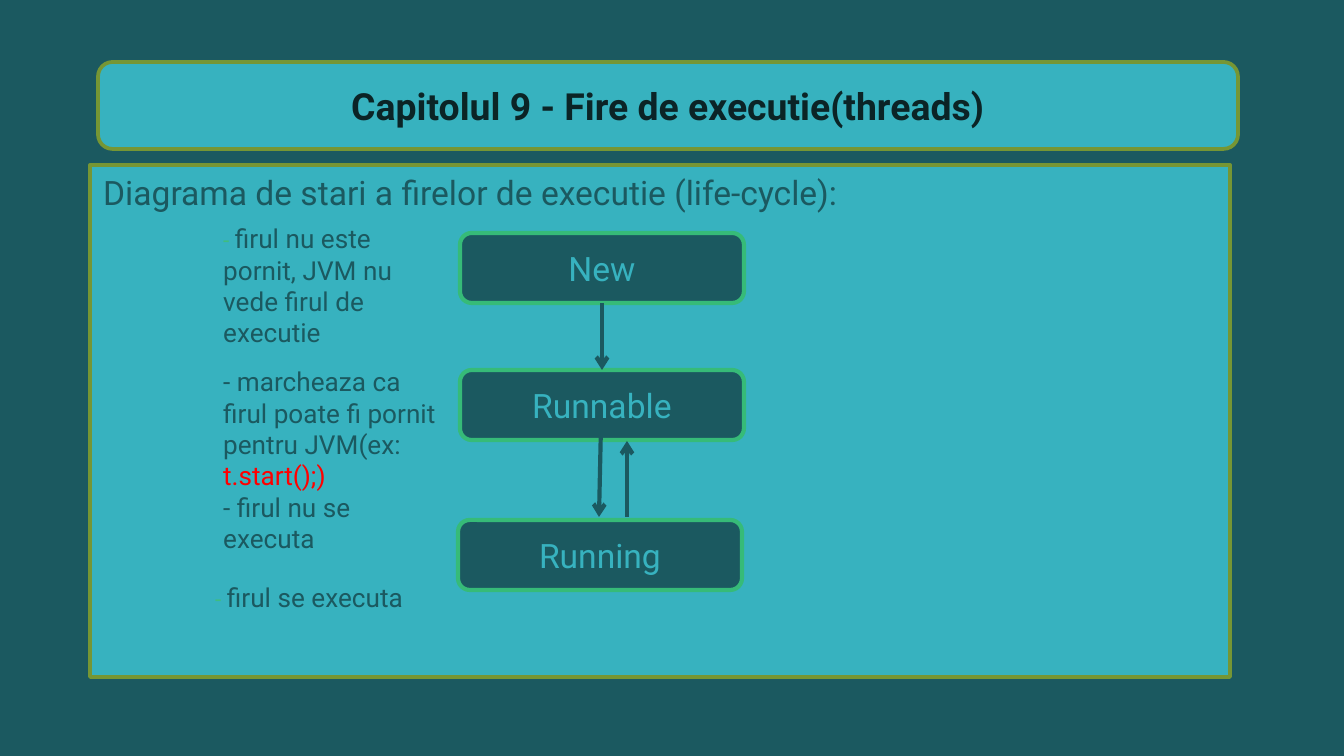
from lxml.etree import SubElement
from pptx import Presentation
from pptx.dml.color import RGBColor
from pptx.enum.shapes import MSO_CONNECTOR, MSO_SHAPE
from pptx.enum.text import MSO_ANCHOR, MSO_AUTO_SIZE, PP_ALIGN
from pptx.oxml.ns import qn
from pptx.util import Emu, Pt

PX = 914400 / 134.4
DARK, TEAL, OLIVE, GREEN = "1B5960", "37B2BF", "769634", "36BB78"
INK, DASH, RED = "0B2426", "40BD7E", "FF0000"

TITLE = "Capitolul 9 - Fire de executie(threads)"
HEADING = "Diagrama de stari a firelor de executie (life-cycle):"
STATES = [("New", 460, 233), ("Runnable", 460, 370), ("Running", 458, 520)]
STATE_SIZE = (284, 70)
NOTES = [
    ((210, 216, 247, 141), [
        [("- ", 12, DASH), ("firul nu este pornit, JVM nu vede firul de executie", 14, DARK)],
    ]),
    ((210, 359, 247, 204), [
        [("- marcheaza ca firul poate fi pornit pentru JVM(ex: ", 14, DARK),
         ("t.start();)", 14, RED)],
        [("- firul nu se executa", 14, DARK)],
    ]),
    ((202, 575, 247, 46), [
        [("- ", 12, DASH), ("firul se executa", 14, DARK)],
    ]),
]
ARROWS = [(601, 425, 599, 517), (627, 517, 627, 441)]


def px(*lengths):
    return [Emu(round(length * PX)) for length in lengths]


def color(value):
    return RGBColor.from_string(value)


def add_text(para, text, size, ink, bold=False):
    span = para.add_run()
    span.text = text
    span.font.name = "Roboto"
    span.font.size = Pt(size)
    span.font.bold = bold
    span.font.color.rgb = color(ink)


def add_box(page, kind, place, text, *, fill, line, width, size, ink,
            bold=False, align=PP_ALIGN.CENTER, anchor=MSO_ANCHOR.MIDDLE):
    box = page.shapes.add_shape(kind, *px(*place))
    box.shadow.inherit = False
    box.fill.solid()
    box.fill.fore_color.rgb = color(fill)
    box.line.color.rgb = color(line)
    box.line.width = Pt(width)
    box.text_frame.word_wrap = True
    box.text_frame.vertical_anchor = anchor
    para = box.text_frame.paragraphs[0]
    para.alignment = align
    add_text(para, text, size, ink, bold)
    return box


def add_note(page, place, paragraphs):
    frame = page.shapes.add_textbox(*px(*place)).text_frame
    frame.word_wrap = True
    frame.auto_size = MSO_AUTO_SIZE.SHAPE_TO_FIT_TEXT
    for index, spans in enumerate(paragraphs):
        para = frame.add_paragraph() if index else frame.paragraphs[0]
        for text, size, ink in spans:
            add_text(para, text, size, ink)


def add_arrow(page, ends):
    arrow = page.shapes.add_connector(MSO_CONNECTOR.STRAIGHT, *px(*ends))
    arrow.line.color.rgb = color(DARK)
    arrow.line.width = Pt(2.25)
    outline = arrow._element.spPr.find(qn("a:ln"))
    SubElement(outline, qn("a:tailEnd"), type="arrow")
    SubElement(arrow._element.spPr, qn("a:effectLst"))
    return arrow


def main():
    """Build the thread life-cycle slide."""
    deck = Presentation()
    deck.slide_width, deck.slide_height = px(1344, 756)
    page = deck.slides.add_slide(deck.slide_layouts[6])
    page.background.fill.solid()
    page.background.fill.fore_color.rgb = color(DARK)

    add_box(page, MSO_SHAPE.ROUNDED_RECTANGLE, (98, 62, 1140, 87), TITLE,
            fill=TEAL, line=OLIVE, width=2, size=20, ink=INK, bold=True)
    body = add_box(page, MSO_SHAPE.FOLDED_CORNER, (90, 165, 1140, 512), HEADING,
                   fill=TEAL, line=OLIVE, width=2, size=18, ink=DARK,
                   align=PP_ALIGN.LEFT, anchor=MSO_ANCHOR.TOP)
    guides = body._element.spPr.find(qn("a:prstGeom")).find(qn("a:avLst"))
    SubElement(guides, qn("a:gd"), name="adj", fmla="val 0")
    body.text_frame.paragraphs[0].space_after = Pt(5.2)

    states = {
        name: add_box(page, MSO_SHAPE.ROUNDED_RECTANGLE, (left, top, *STATE_SIZE), name,
                      fill=DARK, line=GREEN, width=2.25, size=18, ink=TEAL)
        for name, left, top in STATES
    }
    for place, paragraphs in NOTES:
        add_note(page, place, paragraphs)
    for ends in ARROWS:
        add_arrow(page, ends)
    start = add_arrow(page, (602, 303, 602, 370))
    start.begin_connect(states["New"], 2)
    start.end_connect(states["Runnable"], 0)

    deck.save("out.pptx")


if __name__ == "__main__":
    main()
